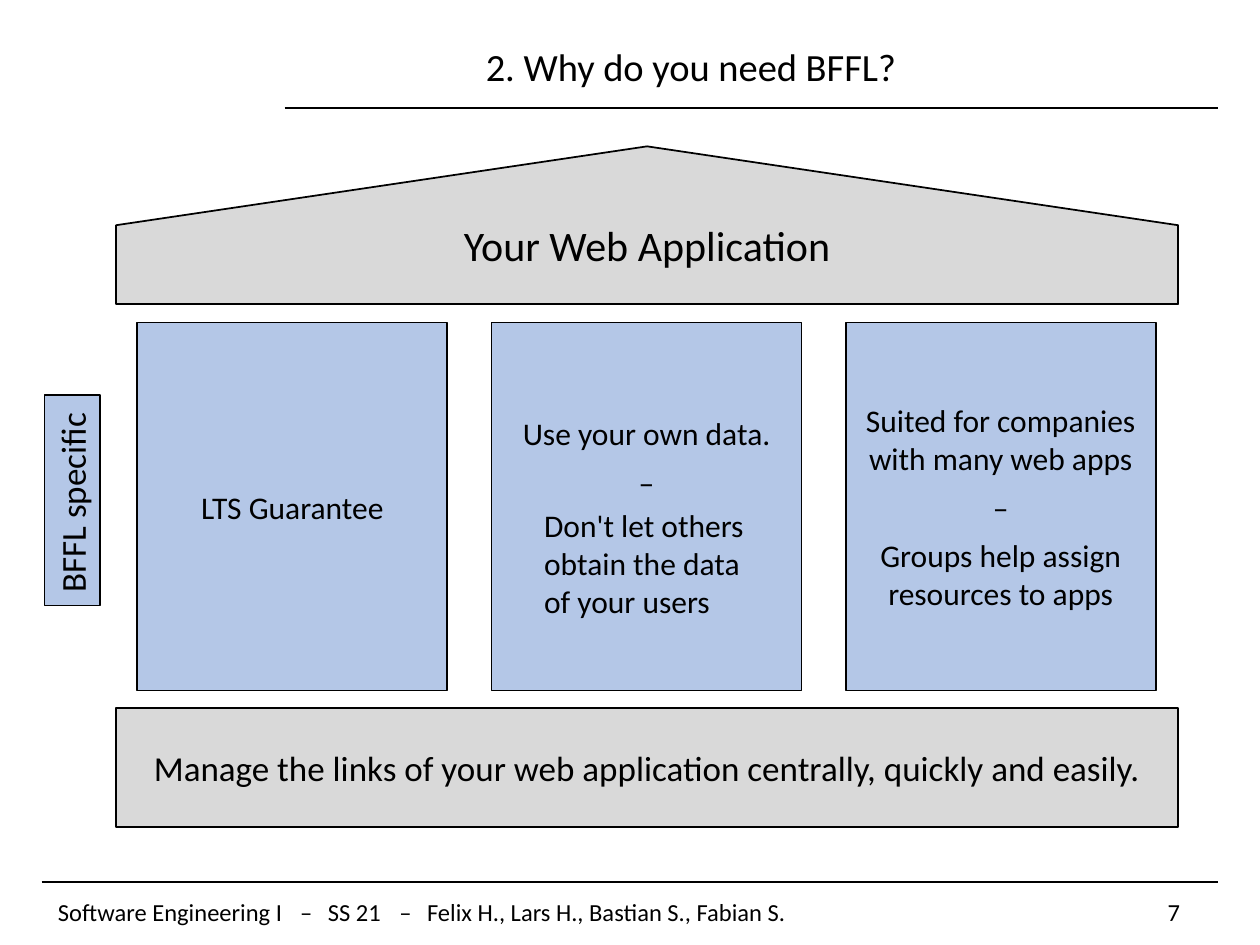
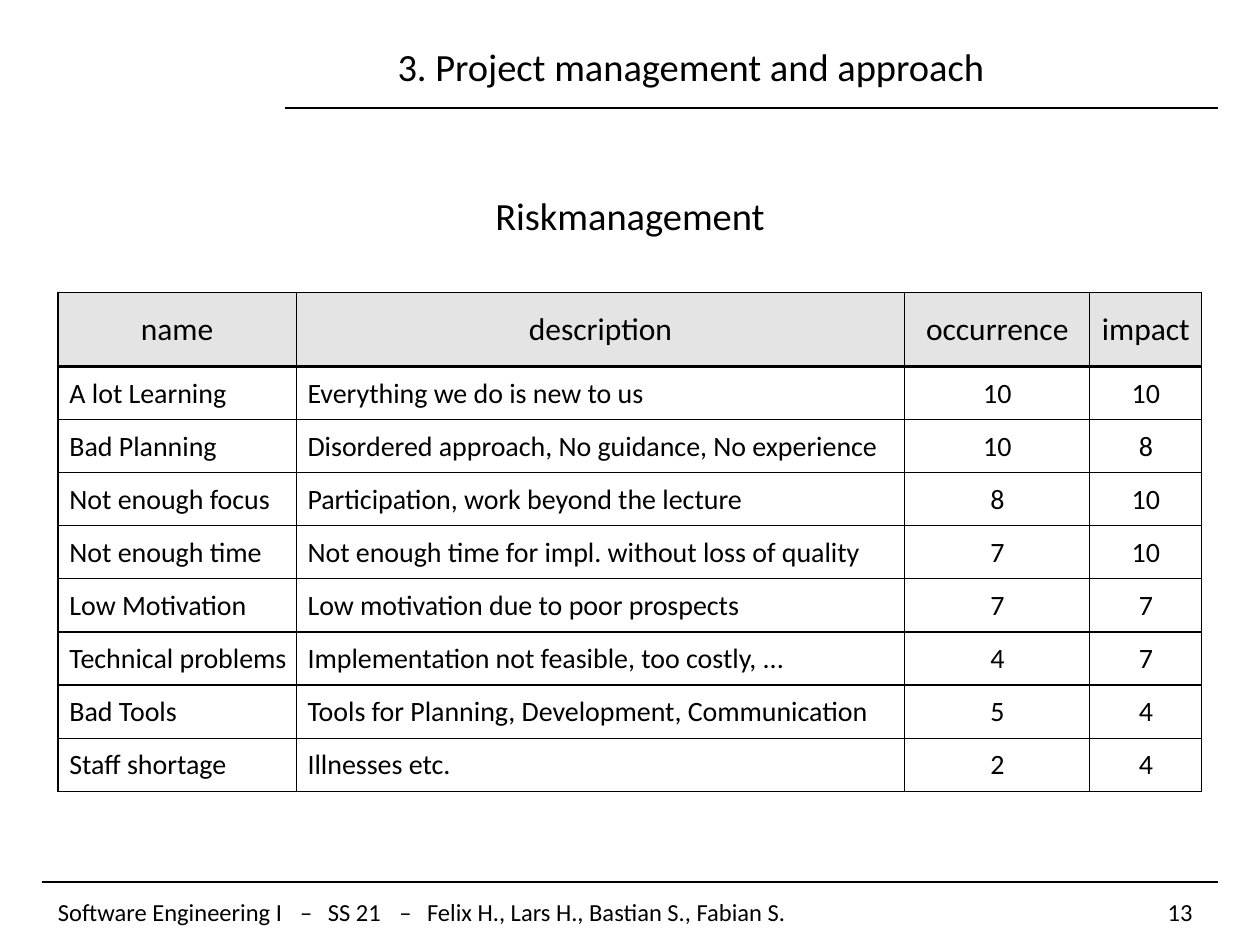
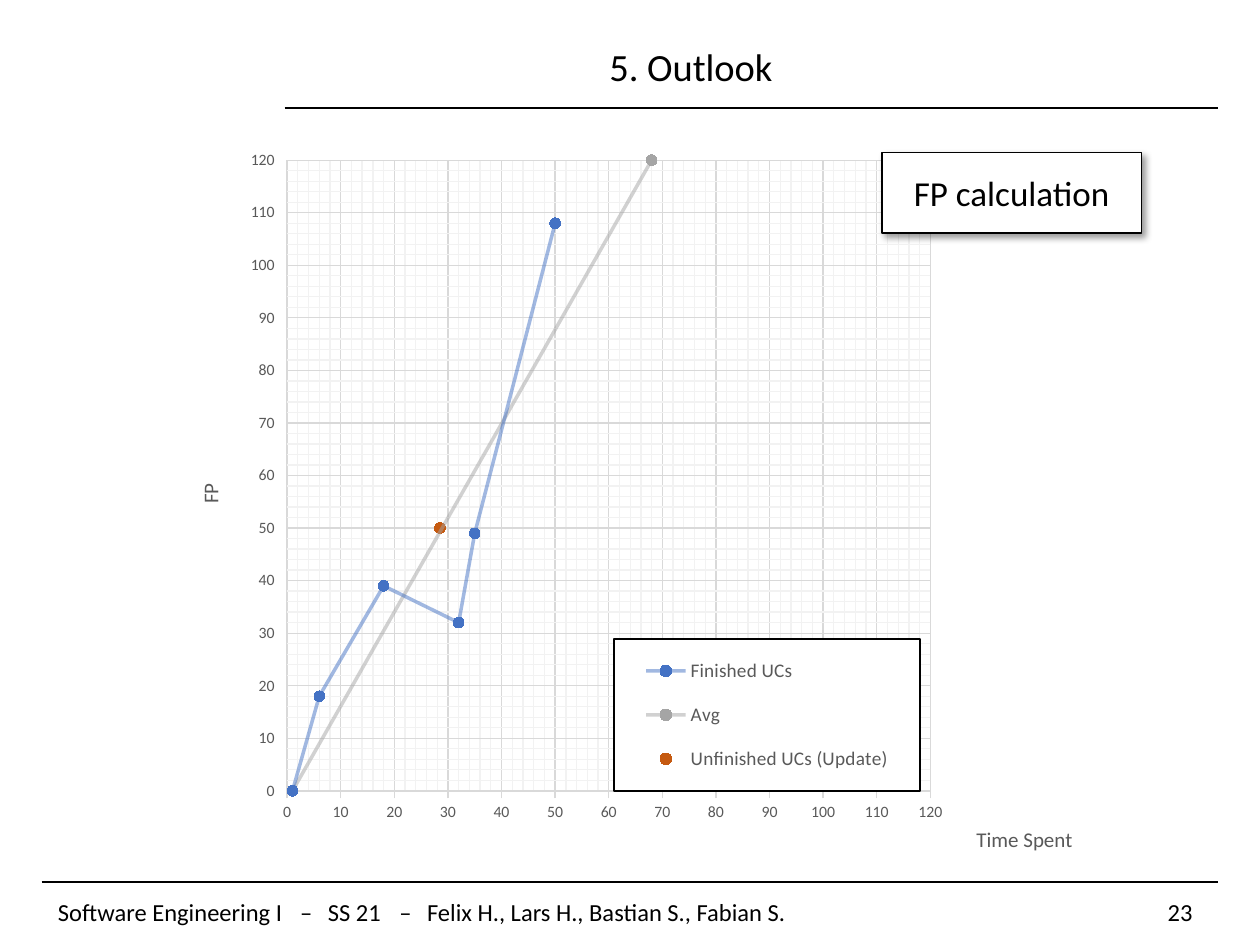
from lxml.etree import SubElement
from pptx import Presentation
from pptx.chart.data import XyChartData
from pptx.dml.color import RGBColor
from pptx.enum.chart import XL_CHART_TYPE, XL_LEGEND_POSITION, XL_MARKER_STYLE, XL_TICK_MARK
from pptx.enum.shapes import MSO_CONNECTOR, MSO_SHAPE
from pptx.enum.text import MSO_ANCHOR as ANCHOR, PP_ALIGN as ALIGN
from pptx.oxml import parse_xml
from pptx.oxml.ns import nsdecls, qn
from pptx.util import Cm, Pt

FONT = "Calibri"
BLACK, WHITE, BLUE, GREY = "000000", "FFFFFF", "B4C7E7", "D9D9D9"
HEADER_FILL, CHART_TEXT, MINOR_GRID = "E4E4E4", "595959", "F2F2F2"

FOOTER = ["Software Engineering I", "–", "SS 21", "–", "Felix H., Lars H., Bastian S., Fabian S."]
FOOTER_TABS = [4.88, 5.44, 6.88, 7.44]

HOUSE_LEFT, HOUSE_WIDTH = 2.34, 21.41
ROOF = "Your Web Application"
BASE = "Manage the links of your web application centrally, quickly and easily."
PILLARS = [
    ["LTS Guarantee"],
    ["Use your own data.", "–"],
    ["Suited for companies with many web apps", "–", "Groups help assign resources to apps"],
]
PILLAR_LEFT, PILLAR_STEP = 2.77, 7.14
DATA_NOTE = "Don't let others obtain the data of your users"

RISK_COLUMNS = [("name", 4.8), ("description", 12.27), ("occurrence", 3.73), ("impact", 2.26)]
RISKS = [
    ("A lot Learning", "Everything we do is new to us", 10, 10),
    ("Bad Planning", "Disordered approach, No guidance, No experience", 10, 8),
    ("Not enough focus", "Participation, work beyond the lecture", 8, 10),
    ("Not enough time", "Not enough time for impl. without loss of quality", 7, 10),
    ("Low Motivation", "Low motivation due to poor prospects", 7, 7),
    ("Technical problems", "Implementation not feasible, too costly, ...", 4, 7),
    ("Bad Tools", "Tools for Planning, Development, Communication", 5, 4),
    ("Staff shortage", "Illnesses etc.", 2, 4),
]

SERIES = [
    ("Finished UCs", "4472C4", True, [(1, 0), (6, 18), (18, 39), (32, 32), (35, 49), (50, 108)]),
    ("Avg", "A5A5A5", True, [(1, 0), (68, 120)]),
    ("Unfinished UCs (Update)", "C55A11", False, [(28.5, 50)]),
]


def rgb(color):
    return RGBColor.from_string(color)


def style_font(font, size, color=BLACK):
    font.name, font.size, font.bold = FONT, Pt(size), False
    font.color.rgb = rgb(color)


def style_line(line, color, width):
    line.color.rgb = rgb(color)
    line.width = Pt(width)


def write(tf, paragraphs, size, align=ALIGN.CENTER, after=0):
    for i, text in enumerate(paragraphs):
        p = tf.add_paragraph() if i else tf.paragraphs[0]
        p.text, p.alignment = text, align
        p.space_after = Pt(after)
        style_font(p.font, size)


def add_text(s, box, paragraphs, size, align=ALIGN.LEFT, anchor=ANCHOR.TOP):
    sp = s.shapes.add_textbox(*map(Cm, box))
    tf = sp.text_frame
    tf.word_wrap, tf.vertical_anchor = True, anchor
    write(tf, paragraphs, size, align)
    return sp


def add_block(s, box, paragraphs, size, fill, preset=MSO_SHAPE.RECTANGLE, turned=False,
              width=1, after=0, align=ALIGN.CENTER, anchor=ANCHOR.MIDDLE):
    x, y, w, h = box
    if turned:
        x, y, w, h = x + (w - h) / 2, y + (h - w) / 2, h, w
    sp = s.shapes.add_shape(preset, *map(Cm, (x, y, w, h)))
    sp.rotation = 270 if turned else 0
    sp.shadow.inherit = False
    sp.fill.solid()
    sp.fill.fore_color.rgb = rgb(fill)
    style_line(sp.line, BLACK, width)
    tf = sp.text_frame
    tf.word_wrap, tf.vertical_anchor = True, anchor
    write(tf, paragraphs, size, align, after)
    return sp


def add_rule(s, left, y):
    line = s.shapes.add_connector(MSO_CONNECTOR.STRAIGHT, Cm(left), Cm(y), Cm(24.56), Cm(y))
    style_line(line.line, BLACK, 1)
    SubElement(line.element.spPr, qn("a:effectLst"))


def add_slide(prs, title, number):
    s = prs.slides.add_slide(prs.slide_layouts[6])
    add_rule(s, 5.74, 2.18)
    add_rule(s, 0.84, 17.78)
    footer = add_text(s, (0.84, 18.08, 17.35, 0.61), ["\t".join(FOOTER)], 14)
    tf = footer.text_frame
    tf.margin_left, tf.margin_top, tf.margin_bottom = Cm(0.33), 0, 0
    stops = "".join(f'<a:tab pos="{Cm(x)}" algn="l"/>' for x in FOOTER_TABS)
    tabs = parse_xml(f'<a:tabLst {nsdecls("a")}>{stops}</a:tabLst>')
    footer.element.find(".//" + qn("a:defRPr")).addprevious(tabs)
    add_text(s, (23.29, 18.08, 1.42, 0.61), [str(number)], 14, anchor=ANCHOR.MIDDLE)
    add_text(s, (3.45, 0.74, 20.96, 1.19), [title], 22, ALIGN.CENTER)
    return s


def build_house(prs):
    s = add_slide(prs, "2. Why do you need BFFL?", 7)
    pillars = [
        add_block(s, (PILLAR_LEFT + i * PILLAR_STEP, 6.5, 6.25, 7.42), text, 18, BLUE, after=6)
        for i, text in enumerate(PILLARS)
    ]
    pillars[1].text_frame.margin_bottom = Cm(2.1)
    add_block(s, (HOUSE_LEFT, 14.27, HOUSE_WIDTH, 2.41), [BASE], 20, GREY)
    roof = add_block(s, (HOUSE_LEFT, 2.95, HOUSE_WIDTH, 3.18), [ROOF], 24, GREY,
                     MSO_SHAPE.PENTAGON, turned=True)
    roof.element.find(".//" + qn("a:bodyPr")).set("vert", "vert")
    add_text(s, (10.72, 10.08, 4.65, 2.57), [DATA_NOTE], 18)
    add_block(s, (0.9, 7.96, 1.12, 4.24), ["BFFL specific"], 20, BLUE, turned=True,
              width=0.75, align=ALIGN.LEFT, anchor=ANCHOR.TOP)


def set_borders(cell, top, bottom):
    tc_pr = cell._tc.get_or_add_tcPr()
    for i, (side, width) in enumerate([("L", 0.75), ("R", 0.75), ("T", top), ("B", bottom)]):
        tc_pr.insert(i, parse_xml(
            f'<a:ln{side} {nsdecls("a")} w="{Pt(width)}"><a:solidFill>'
            f'<a:srgbClr val="{BLACK}"/></a:solidFill></a:ln{side}>'))


def build_risks(prs):
    s = add_slide(prs, "3. Project management and approach", 13)
    add_text(s, (1.17, 3.48, 23.06, 1.7), ["Riskmanagement"], 22, ALIGN.CENTER, ANCHOR.MIDDLE)
    names, widths = zip(*RISK_COLUMNS)
    rows = [names] + RISKS
    heights = [1.5] + [1.07] * len(RISKS)
    table = s.shapes.add_table(len(rows), len(names), Cm(1.17), Cm(5.89),
                               Cm(sum(widths)), Cm(sum(heights))).table
    for column, width in zip(table.columns, widths):
        column.width = Cm(width)
    for r, values in enumerate(rows):
        table.rows[r].height = Cm(heights[r])
        for c, value in enumerate(values):
            cell = table.cell(r, c)
            is_left = r > 0 and c < 2
            cell.vertical_anchor = ANCHOR.MIDDLE
            cell.margin_left = Cm(0.23 if is_left else 0.03)
            cell.margin_right = cell.margin_top = Cm(0.03)
            cell.margin_bottom = 0
            if r:
                cell.fill.background()
            else:
                cell.fill.solid()
                cell.fill.fore_color.rgb = rgb(HEADER_FILL)
            write(cell.text_frame, [str(value)], 16 if r else 18,
                  ALIGN.LEFT if is_left else ALIGN.CENTER)
            set_borders(cell, 1.5 if r == 1 else 0.75, 0.75 if r else 1.5)


def place(parent, x, y, w=None, h=None, inner=False):
    layout = parent.find(qn("c:layout"))
    if layout is None:
        layout = parent.makeelement(qn("c:layout"))
        parent.insert(0, layout)
    manual = SubElement(layout, qn("c:manualLayout"))
    settings = [("layoutTarget", "inner")] if inner else []
    settings += [("xMode", "edge"), ("yMode", "edge"), ("x", x), ("y", y), ("w", w), ("h", h)]
    for name, value in settings:
        if value is not None:
            SubElement(manual, qn("c:" + name)).set("val", str(value))


def chart_props(line, width, fill=None):
    fill_xml = f'<a:solidFill><a:srgbClr val="{fill}"/></a:solidFill>' if fill else ""
    return parse_xml(
        f'<c:spPr {nsdecls("c", "a")}>{fill_xml}<a:ln w="{Pt(width)}"><a:solidFill>'
        f'<a:srgbClr val="{line}"/></a:solidFill></a:ln></c:spPr>')


def style_axis(axis, title, x, y):
    axis.minimum_scale, axis.maximum_scale = 0, 120
    axis.major_unit, axis.minor_unit = 10, 2
    axis.has_major_gridlines = axis.has_minor_gridlines = True
    style_line(axis.major_gridlines.format.line, GREY, 0.75)
    axis._element.find(qn("c:minorGridlines")).append(chart_props(MINOR_GRID, 0.75))
    axis.major_tick_mark = XL_TICK_MARK.OUTSIDE
    axis.minor_tick_mark = XL_TICK_MARK.NONE
    axis.tick_labels.number_format = "0"
    axis.tick_labels.number_format_is_linked = False
    style_font(axis.tick_labels.font, 9, CHART_TEXT)
    style_line(axis.format.line, GREY, 0.75)
    p = axis.axis_title.text_frame.paragraphs[0]
    p.text = title
    style_font(p.font, 12, CHART_TEXT)
    place(axis._element.find(qn("c:title")), x, y)


def style_series(series, color, joined):
    line = series.format.line
    if joined:
        style_line(line, color, 2)
        clr = series._element.spPr.find(".//" + qn("a:srgbClr"))
        SubElement(clr, qn("a:alpha")).set("val", "50000")
    else:
        line.fill.background()
    marker = series.marker
    marker.style, marker.size = XL_MARKER_STYLE.CIRCLE, 6
    marker.format.fill.solid()
    marker.format.fill.fore_color.rgb = rgb(color)
    marker.format.line.fill.background()


def build_outlook(prs):
    s = add_slide(prs, "5. Outlook", 23)
    data = XyChartData()
    for name, _, _, points in SERIES:
        series = data.add_series(name)
        for x, y in points:
            series.add_data_point(x, y)
    chart = s.shapes.add_chart(XL_CHART_TYPE.XY_SCATTER_LINES, Cm(3.45), Cm(2.77),
                               Cm(21.26), Cm(15.32), data).chart
    chart.has_title = False
    style_font(chart.font, 10)
    plot = chart.plots[0]
    plot.vary_by_categories = False
    for series, (_, color, joined, _) in zip(plot.series, SERIES):
        style_series(series, color, joined)
    style_axis(chart.category_axis, "Time Spent", 0.76, 0.9)
    style_axis(chart.value_axis, "FP", 0.02, 0.45)
    chart.value_axis.format.line.fill.background()
    place(chart._chartSpace.find(".//" + qn("c:plotArea")), 0.11, 0.03, 0.61, 0.83, inner=True)

    chart.has_legend = True
    legend = chart.legend
    legend.position = XL_LEGEND_POSITION.RIGHT
    legend.include_in_layout = True
    style_font(legend.font, 11, CHART_TEXT)
    place(legend._element, 0.42, 0.66, 0.29, 0.2)
    legend._element.find(qn("c:txPr")).addprevious(chart_props(BLACK, 0.75, WHITE))

    badge = add_block(s, (17.78, 3.07, 5.23, 1.63), ["FP calculation"], 20, WHITE, width=0.75)
    effects = badge.element.spPr.find(qn("a:effectLst"))
    effects.append(parse_xml(
        f'<a:outerShdw {nsdecls("a")} blurRad="{Pt(4)}" dist="{Pt(3)}" dir="2700000" algn="tl" '
        f'rotWithShape="0"><a:srgbClr val="{BLACK}"><a:alpha val="40000"/></a:srgbClr></a:outerShdw>'))


def main():
    prs = Presentation()
    prs.slide_width, prs.slide_height = Cm(25.4), Cm(19.05)
    build_house(prs)
    build_risks(prs)
    build_outlook(prs)
    prs.save("out.pptx")


if __name__ == "__main__":
    main()
